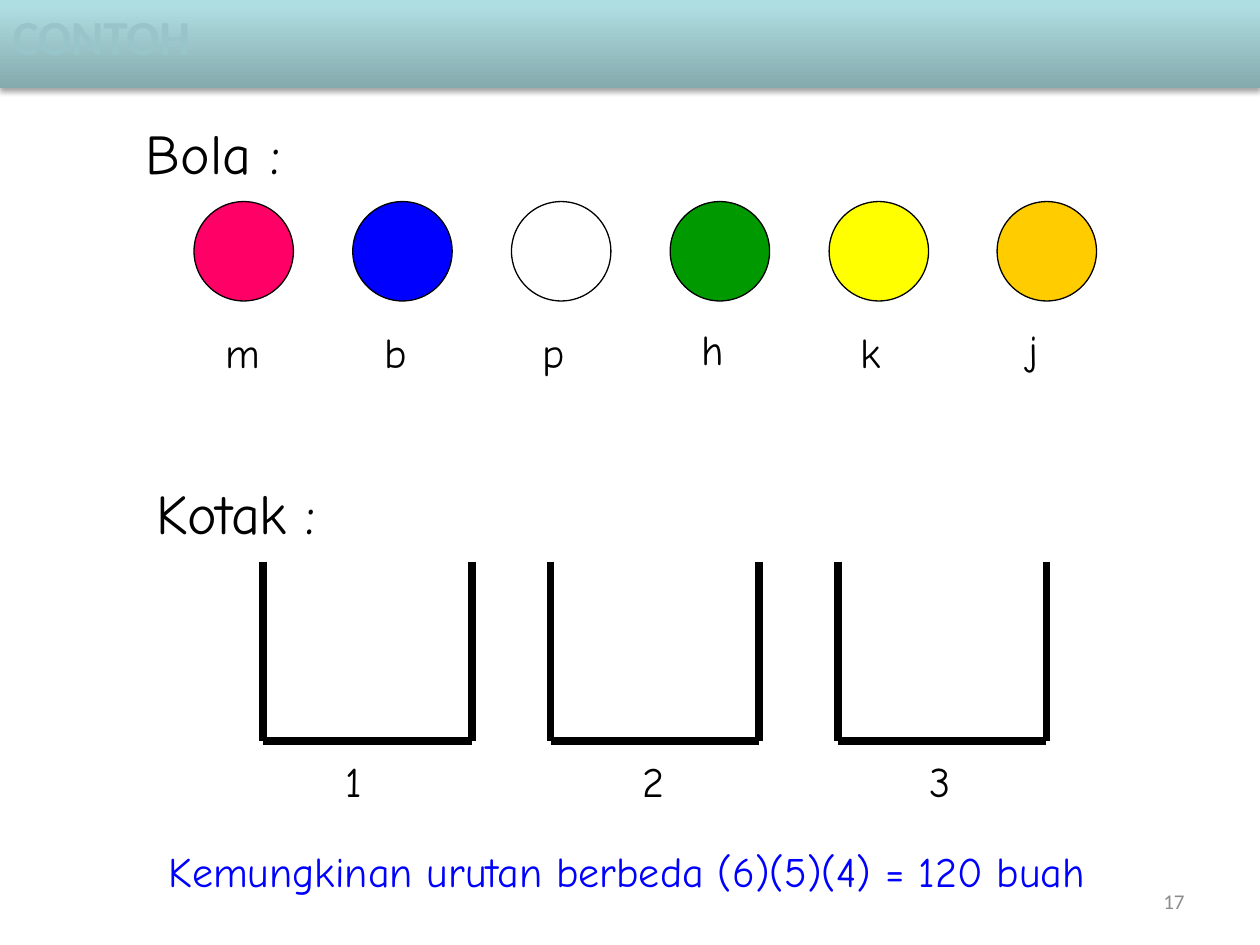
from typing import NamedTuple

from lxml import etree
from pptx import Presentation
from pptx.dml.color import RGBColor
from pptx.enum.shapes import MSO_CONNECTOR, MSO_SHAPE
from pptx.enum.text import MSO_ANCHOR, MSO_AUTO_SIZE, PP_ALIGN
from pptx.oxml.ns import qn
from pptx.util import Pt

STRAIGHT = MSO_CONNECTOR.STRAIGHT
OVAL = MSO_SHAPE.OVAL
MIDDLE = MSO_ANCHOR.MIDDLE
FIT_SHAPE = MSO_AUTO_SIZE.SHAPE_TO_FIT_TEXT
LEFT, RIGHT = PP_ALIGN.LEFT, PP_ALIGN.RIGHT

HAND_FONT = "Comic Neue"
PLAIN_FONT = "Calibri"
BLACK = "000000"
BLUE = "0000FF"

BALL_TOP, BALL_SIZE = 115.2, 56.8
CRATE_TOP, CRATE_BOTTOM = 321, 423.4
CRATE_LEFT, CRATE_WIDTH, CRATE_STEP = 150.4, 119.2, 164.2


class Ball(NamedTuple):
    left: float
    color: str
    letter: str
    letter_top: float
    letter_width: float


class Label(NamedTuple):
    text: str
    left: float
    top: float
    width: float
    height: float = 36
    size: float = 24
    color: str = BLACK


BALLS = [
    Ball(110.9, "FF0066", "m", 182.9, 33),
    Ball(201.6, BLUE, "b", 182.9, 29),
    Ball(292.3, "FFFFFF", "p", 182.9, 27.5),
    Ball(383, "009900", "h", 181.4, 28),
    Ball(473.8, "FFFF00", "k", 182.9, 27.5),
    Ball(569.8, "FFCC00", "j", 181.4, 24.5),
]

LABELS = [
    Label("Bola :", 76.3, 64.1, 95.8, 45.4, 32),
    Label("Kotak :", 82.1, 270, 118.8, 45.4, 32),
    Label("1", 190.1, 428.4, 25.2),
    Label("2", 360, 428.4, 28.8),
    Label("3", 524.2, 428.4, 28.8),
    Label("Kemungkinan urutan berbeda (6)(5)(4) = 120 buah",
          89.3, 479.5, 565.2, color=BLUE),
]


def rgb(color: str) -> RGBColor:
    return RGBColor.from_string(color)


def add_gradient(parent, stops: list[tuple[int, str]], angle: int) -> None:
    """Append a linear gradient; stops are in percent, the angle is clockwise."""
    gradient = etree.SubElement(parent, qn("a:gradFill"))
    stop_list = etree.SubElement(gradient, qn("a:gsLst"))
    for position, color in stops:
        stop = etree.SubElement(stop_list, qn("a:gs"), pos=str(position * 1000))
        etree.SubElement(stop, qn("a:srgbClr"), val=color)
    etree.SubElement(gradient, qn("a:lin"), ang=str(angle * 60000), scaled="0")


def add_shadow(properties) -> None:
    effects = etree.SubElement(properties, qn("a:effectLst"))
    shadow = etree.SubElement(
        effects, qn("a:outerShdw"), blurRad=str(Pt(3.1)), dist=str(Pt(1.8)),
        dir=str(90 * 60000), rotWithShape="0")
    color = etree.SubElement(shadow, qn("a:srgbClr"), val=BLACK)
    etree.SubElement(color, qn("a:alpha"), val="35000")


def format_title(title) -> None:
    title.left, title.top = Pt(0), Pt(0)
    title.width, title.height = Pt(720), Pt(41)
    properties = title.fill._xPr
    add_gradient(properties, [(0, "85AAAD"), (80, "AFDEE2"), (100, "AFE0E4")], 270)
    add_shadow(properties)
    frame = title.text_frame
    frame.text = "CONTOH"
    frame.auto_size = FIT_SHAPE
    frame.vertical_anchor = MIDDLE
    para = frame.paragraphs[0]
    para.alignment = LEFT
    para.font.name, para.font.size, para.font.bold = PLAIN_FONT, Pt(28), True
    span = para.runs[0]
    add_gradient(
        span._r.get_or_add_rPr(),
        [(0, "ADD4D7"), (49, "98C5C9"), (50, "95BDC0"), (92, "86A7AA"), (100, "83A4A6")],
        90)


def add_label(page, label: Label) -> None:
    box = page.shapes.add_textbox(
        Pt(label.left), Pt(label.top), Pt(label.width), Pt(label.height))
    frame = box.text_frame
    frame.text = label.text
    frame.word_wrap = False
    frame.auto_size = FIT_SHAPE
    font = frame.paragraphs[0].font
    font.name, font.size = HAND_FONT, Pt(label.size)
    font.color.rgb = rgb(label.color)


def add_ball(page, ball: Ball) -> None:
    circle = page.shapes.add_shape(
        OVAL, Pt(ball.left), Pt(BALL_TOP), Pt(BALL_SIZE), Pt(BALL_SIZE))
    circle.shadow.inherit = False
    circle.fill.solid()
    circle.fill.fore_color.rgb = rgb(ball.color)
    circle.line.color.rgb = rgb(BLACK)
    circle.line.width = Pt(0.75)
    add_label(page, Label(ball.letter, ball.left + 10.9, ball.letter_top,
                          ball.letter_width))


def add_crate(page, left: float) -> None:
    """Draw an open box from three grouped lines."""
    group = page.shapes.add_group_shape()
    right = left + CRATE_WIDTH
    corners = [(left, CRATE_TOP), (left, CRATE_BOTTOM),
               (right, CRATE_BOTTOM), (right, CRATE_TOP)]
    for (x1, y1), (x2, y2) in zip(corners, corners[1:]):
        side = group.shapes.add_connector(STRAIGHT, Pt(x1), Pt(y1), Pt(x2), Pt(y2))
        side.line.color.rgb = rgb(BLACK)
        side.line.width = Pt(4.5)
        etree.SubElement(side._element.spPr, qn("a:effectLst"))


def add_page_number(page, number: str) -> None:
    box = page.shapes.add_textbox(Pt(516), Pt(500.5), Pt(168), Pt(28.8))
    frame = box.text_frame
    frame.text = number
    frame.word_wrap = True
    frame.vertical_anchor = MIDDLE
    para = frame.paragraphs[0]
    para.alignment = RIGHT
    para.font.name, para.font.size = PLAIN_FONT, Pt(12)
    para.font.color.rgb = rgb("8C8C8C")


def main() -> None:
    deck = Presentation()
    deck.slide_width, deck.slide_height = Pt(720), Pt(540)
    page = deck.slides.add_slide(deck.slide_layouts[5])

    # Header and page number
    format_title(page.shapes.title)
    add_page_number(page, "17")

    # Balls with their letters
    for ball in BALLS:
        add_ball(page, ball)

    # Three open boxes
    for index in range(3):
        add_crate(page, CRATE_LEFT + index * CRATE_STEP)

    # Headings, box numbers and the result
    for label in LABELS:
        add_label(page, label)

    deck.save("out.pptx")


if __name__ == "__main__":
    main()
